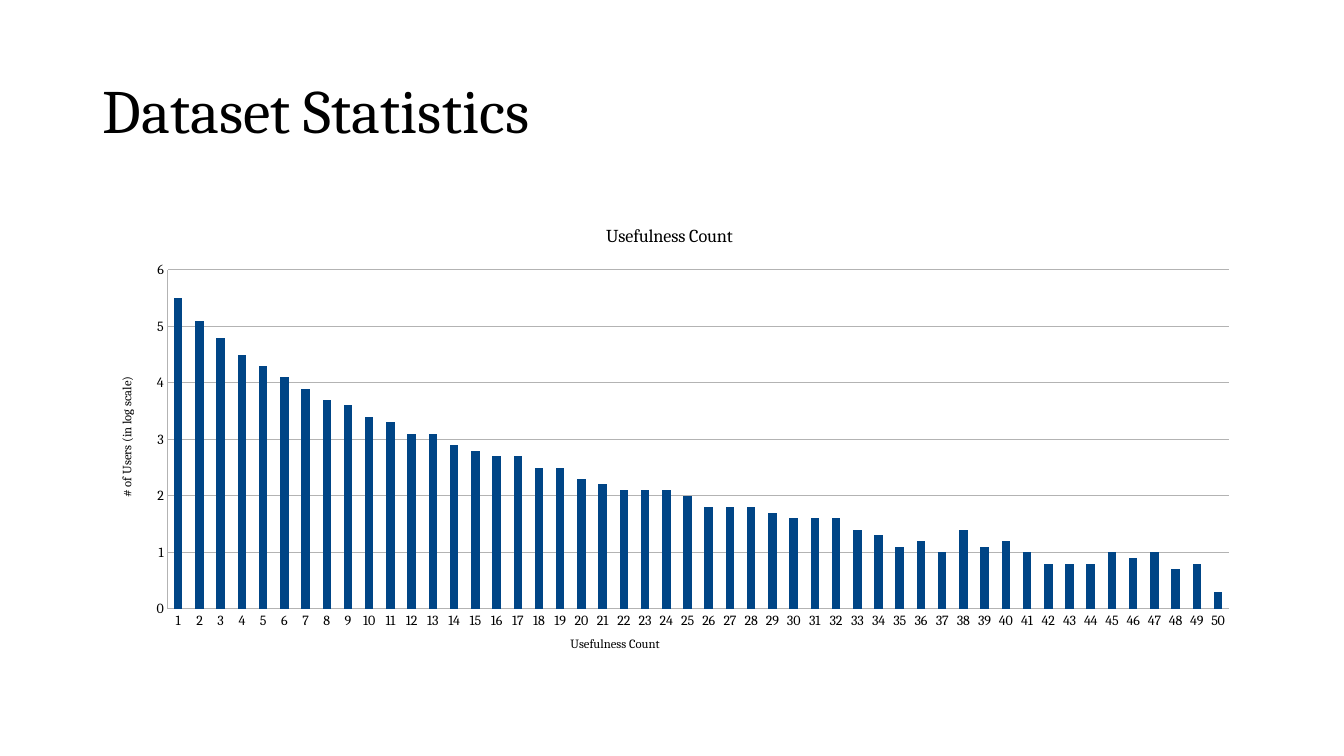
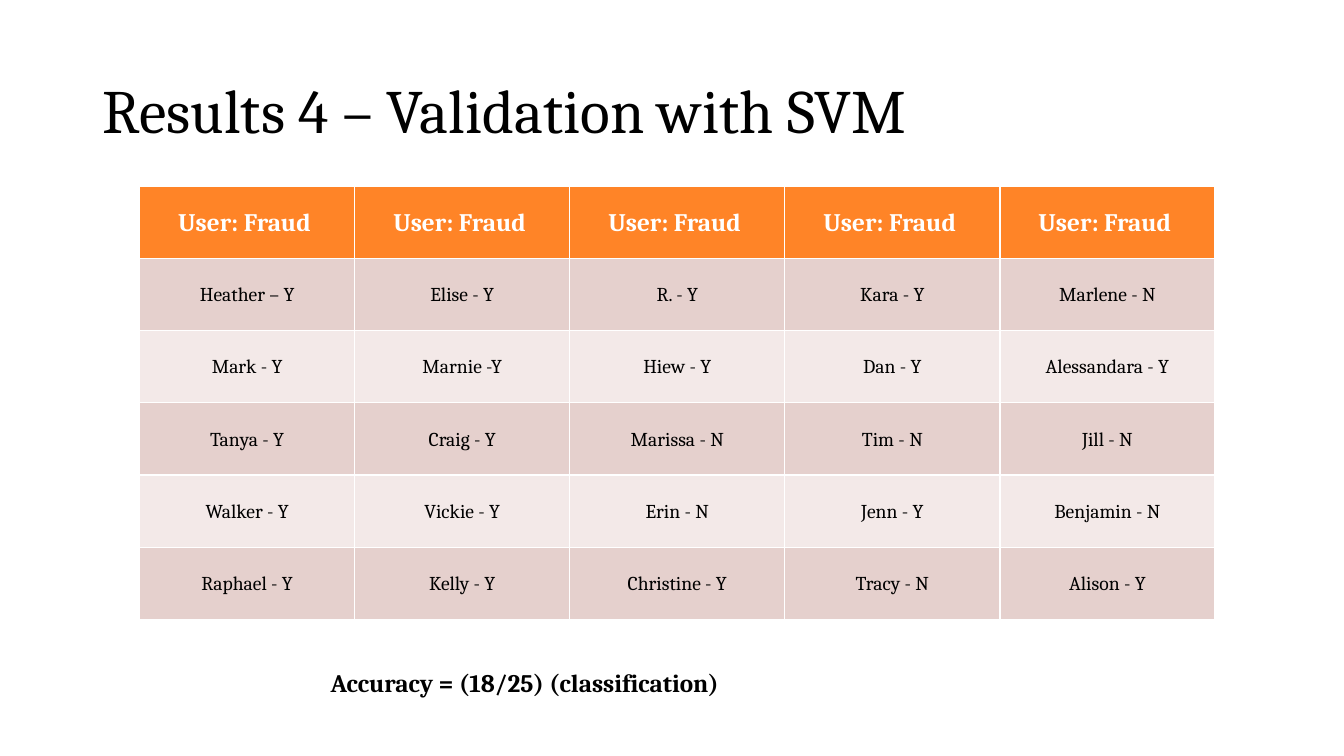
import lxml.etree
import pptx
import pptx.chart.data
import pptx.dml.color
import pptx.enum.chart
import pptx.enum.text
import pptx.oxml.ns
import pptx.util

Cm = pptx.util.Cm
Pt = pptx.util.Pt

FONT = "Cambria"
COLORS = {
    "text": "000000",
    "header_text": "FFFFFF",
    "header": "FF8427",
    "band_dark": "E5D0CD",
    "band_light": "F3E9E8",
    "bar": "004586",
    "rule": "B3B3B3",
}

USERS_LOG = [
    5.5, 5.1, 4.8, 4.5, 4.3, 4.1, 3.9, 3.7, 3.6, 3.4,
    3.3, 3.1, 3.1, 2.9, 2.8, 2.7, 2.7, 2.5, 2.5, 2.3,
    2.2, 2.1, 2.1, 2.1, 2, 1.8, 1.8, 1.8, 1.7, 1.6,
    1.6, 1.6, 1.4, 1.3, 1.1, 1.2, 1, 1.4, 1.1, 1.2,
    1, 0.8, 0.8, 0.8, 1, 0.9, 1, 0.7, 0.8, 0.3,
]
FRAUD_ROWS = [
    ["User: Fraud "] * 5,
    ["Heather – Y", "Elise - Y", "R. - Y", "Kara - Y", "Marlene - N"],
    ["Mark - Y", "Marnie -Y", "Hiew - Y", "Dan - Y", "Alessandara - Y"],
    ["Tanya - Y", "Craig - Y", "Marissa - N", "Tim - N", "Jill - N"],
    ["Walker - Y", "Vickie - Y", "Erin - N", "Jenn - Y", "Benjamin - N"],
    ["Raphael - Y", "Kelly - Y", "Christine - Y", "Tracy - N", "Alison - Y"],
]


def rgb(name):
    return pptx.dml.color.RGBColor.from_string(COLORS[name])


def style_font(font, size, color="text", bold=False):
    font.name = FONT
    font.size = Pt(size)
    font.bold = bold
    font.color.rgb = rgb(color)


def style_line(line):
    line.color.rgb = rgb("rule")
    line.width = Pt(0.75)


def write(frame, text, size, color="text", bold=False):
    frame.text = text
    para = frame.paragraphs[0]
    style_font(para.runs[0].font, size, color, bold)
    return para


def add_text(page, text, left, top, width, height, size, bold=False):
    box = page.shapes.add_textbox(Cm(left), Cm(top), Cm(width), Cm(height))
    box.text_frame.word_wrap = True
    write(box.text_frame, text, size, bold=bold)
    return box


def add_page(deck, title):
    """Add a blank page carrying the shared title style."""
    page = deck.slides.add_slide(deck.slide_layouts[6])
    box = add_text(page, title, 2.34, 1.02, 29.21, 3.68, 44)
    box.text_frame.vertical_anchor = pptx.enum.text.MSO_ANCHOR.MIDDLE
    box.text_frame.paragraphs[0].line_spacing = 0.9
    return page


def set_layout(element, index, **fractions):
    """Fix the place of a chart part, in fractions of the chart's size."""
    qn = pptx.oxml.ns.qn
    for old in element.findall(qn("c:layout")):
        element.remove(old)
    layout = lxml.etree.Element(qn("c:layout"))
    manual = lxml.etree.SubElement(layout, qn("c:manualLayout"))
    settings = {"xMode": "edge", "yMode": "edge", **fractions}
    if "w" in fractions:
        settings = {"layoutTarget": "outer", **settings}
    for tag, value in settings.items():
        lxml.etree.SubElement(manual, qn("c:" + tag)).set("val", str(value))
    element.insert(index, layout)


def write_chart_title(title, text, size, x, y):
    write(title.text_frame, text, size)
    set_layout(title._element, 1, x=x, y=y)


def style_axis(axis, title, x, y):
    axis.major_tick_mark = pptx.enum.chart.XL_TICK_MARK.NONE
    axis.minor_tick_mark = pptx.enum.chart.XL_TICK_MARK.NONE
    style_font(axis.tick_labels.font, 10)
    style_line(axis.format.line)
    write_chart_title(axis.axis_title, title, 9, x, y)


def add_column_chart(page):
    data = pptx.chart.data.CategoryChartData()
    data.categories = [str(count) for count in range(1, len(USERS_LOG) + 1)]
    data.add_series("Series 1", USERS_LOG)
    chart = page.shapes.add_chart(
        pptx.enum.chart.XL_CHART_TYPE.COLUMN_STACKED,
        Cm(2.34), Cm(5.08), Cm(29.21), Cm(12.09), data,
    ).chart
    style_font(chart.font, 10)
    chart.has_legend = False
    write_chart_title(chart.chart_title, "Usefulness Count", 13, 0.44, 0.04)
    set_layout(chart._chartSpace.chart.plotArea, 0,
               x=0.055, y=0.126, w=0.925, h=0.764)

    plot = chart.plots[0]
    plot.vary_by_categories = False
    plot.overlap = 100
    plot.gap_width = 150
    bars = plot.series[0].format.fill
    bars.solid()
    bars.fore_color.rgb = rgb("bar")

    style_axis(chart.category_axis, "Usefulness Count", 0.41, 0.9)
    values = chart.value_axis
    style_axis(values, "# of Users (in log scale)", 0.02, 0.36)
    rotation = values.axis_title.text_frame._txBody.bodyPr
    rotation.set("rot", "-5400000")
    rotation.set("vert", "horz")
    values.minimum_scale, values.maximum_scale, values.major_unit = 0, 6, 1
    values.tick_labels.number_format = "General"
    values.tick_labels.number_format_is_linked = False
    style_line(values.major_gridlines.format.line)


def fill_cell(cell, text, row):
    if row == 0:
        fill, size, color = "header", 18, "header_text"
    else:
        fill = "band_dark" if row % 2 else "band_light"
        size, color = 14, "text"
    cell.fill.solid()
    cell.fill.fore_color.rgb = rgb(fill)
    cell.margin_left = cell.margin_right = Cm(0.19)
    cell.margin_top = cell.margin_bottom = 0
    cell.vertical_anchor = pptx.enum.text.MSO_ANCHOR.MIDDLE
    para = write(cell.text_frame, text, size, color, bold=row == 0)
    para.alignment = pptx.enum.text.PP_ALIGN.CENTER
    para.line_spacing = 1.07


def add_banded_table(page, rows, left, top, column_width, row_height):
    columns = len(rows[0])
    table = page.shapes.add_table(
        len(rows), columns, Cm(left), Cm(top),
        Cm(column_width * columns), Cm(row_height * len(rows)),
    ).table
    for column in table.columns:
        column.width = Cm(column_width)
    for index, texts in enumerate(rows):
        table.rows[index].height = Cm(row_height)
        for cell, text in zip(table.rows[index].cells, texts):
            fill_cell(cell, text, index)


def main():
    deck = pptx.Presentation()
    deck.slide_width, deck.slide_height = Cm(33.87), Cm(19.05)

    add_column_chart(add_page(deck, "Dataset Statistics"))

    results = add_page(deck, "Results 4 – Validation with SVM")
    add_banded_table(results, FRAUD_ROWS, 3.52, 4.69, 5.42, 1.82)
    add_text(results, "Accuracy = (18/25) (classification)",
             8.08, 16.69, 13.41, 1.02, 18, bold=True)

    deck.save("out.pptx")


if __name__ == "__main__":
    main()
